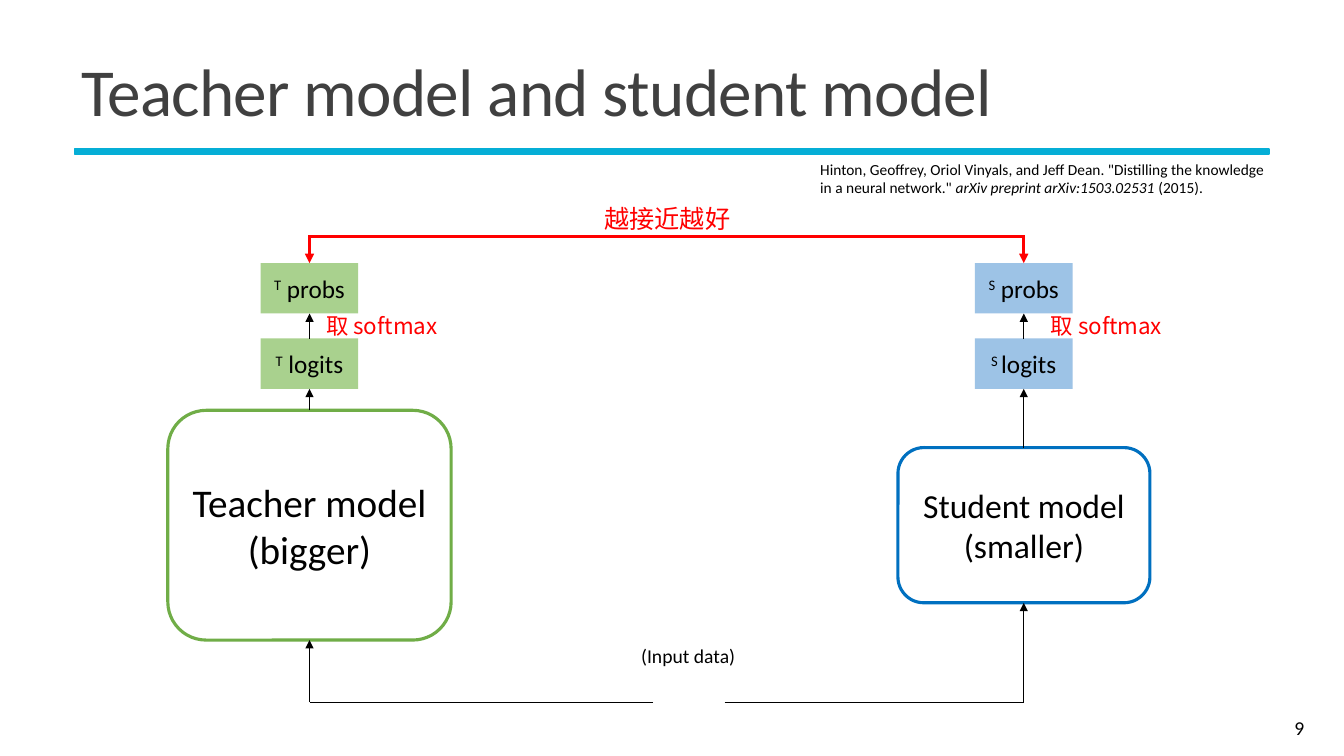
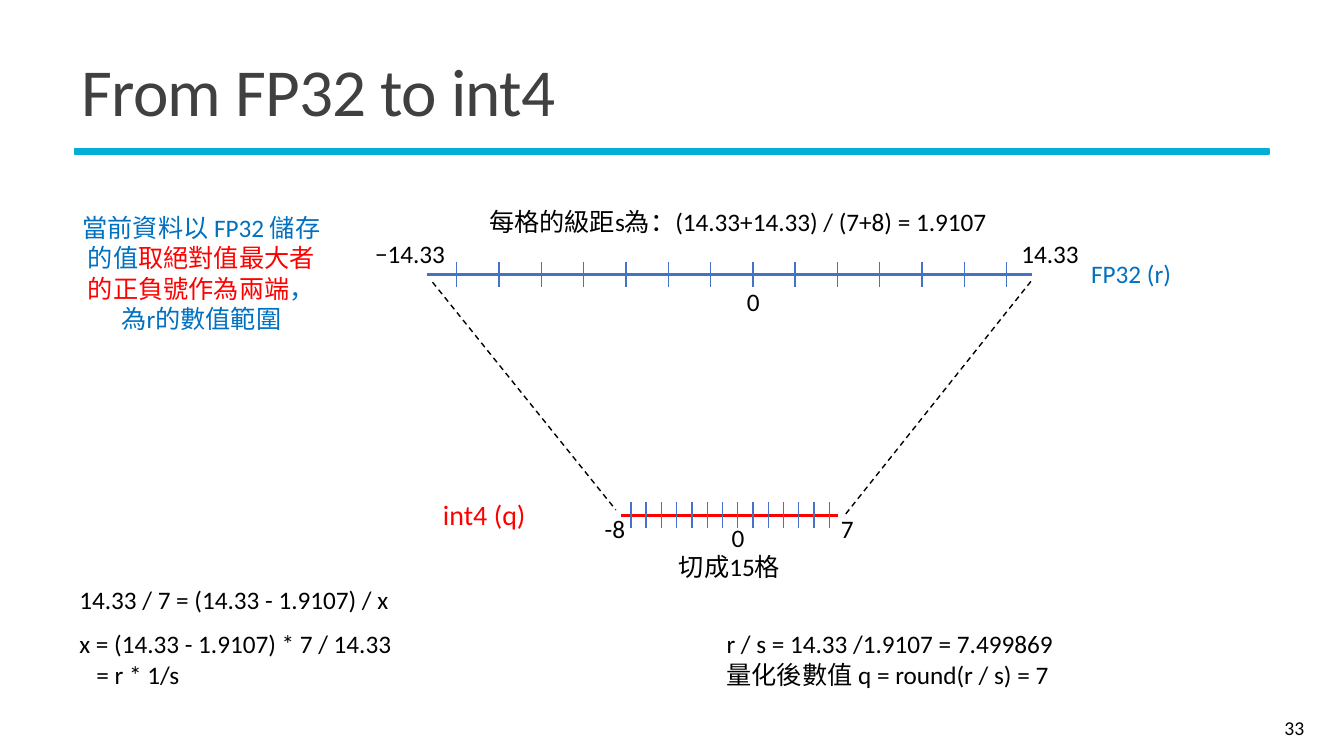
from dataclasses import dataclass
from typing import NamedTuple, Optional

from lxml import etree
from pptx import Presentation
from pptx.dml.color import RGBColor
from pptx.enum.dml import MSO_LINE
from pptx.enum.shapes import MSO_CONNECTOR, MSO_SHAPE
from pptx.enum.text import MSO_ANCHOR, PP_ALIGN
from pptx.oxml.ns import qn
from pptx.shapes.autoshape import Shape
from pptx.shapes.connector import Connector
from pptx.slide import Slide
from pptx.util import Cm, Pt

LEFT, CENTER, RIGHT = PP_ALIGN.LEFT, PP_ALIGN.CENTER, PP_ALIGN.RIGHT
TOP, MIDDLE = MSO_ANCHOR.TOP, MSO_ANCHOR.MIDDLE
RECTANGLE, ROUNDED = MSO_SHAPE.RECTANGLE, MSO_SHAPE.ROUNDED_RECTANGLE
STRAIGHT, DASH = MSO_CONNECTOR.STRAIGHT, MSO_LINE.DASH

LATIN, CJK = "Calibri", "Noto Sans CJK TC"
BLACK, TITLE_GRAY, RULE_CYAN = "000000", "404040", "05AED6"
RED, BLUE, AXIS_BLUE = "FF0000", "0070C0", "4472C4"
GREEN, LIGHT_GREEN, LIGHT_BLUE = "70AD47", "A9D18E", "9DC3E6"

TICK_COUNT, TICK_REACH = 14, 0.32
NODE_WIDTH, NODE_HEIGHT = 2.46, 1.27
PROBS_TOP, LOGITS_TOP = 6.63, 8.53
INPUT_Y, CLOSENESS_Y = 17.7, 5.97


class Point(NamedTuple):
    x: float
    y: float


class Box(NamedTuple):
    left: float
    top: float
    width: float
    height: float = 1.02


class Span(NamedTuple):
    """A piece of a paragraph; unset fields follow the paragraph."""
    text: str
    color: Optional[str] = None
    font: Optional[str] = None
    italic: bool = False
    superscript: bool = False


@dataclass(frozen=True)
class TextStyle:
    size: float = 18
    color: str = BLACK
    font: str = LATIN
    align: PP_ALIGN = CENTER
    anchor: MSO_ANCHOR = TOP


@dataclass(frozen=True)
class Label:
    box: Box
    lines: tuple[tuple[Span, ...], ...]
    style: TextStyle = TextStyle()


@dataclass(frozen=True)
class Branch:
    """One model with its logits and probabilities stacked above it."""
    center: float
    model_box: Box
    model_lines: tuple[str, str]
    model_size: float
    outline: str
    node_fill: str
    logits: tuple[str, str]
    probs: tuple[str, str]
    softmax_left: float
    input_start: float


@dataclass(frozen=True)
class Axis:
    left: float
    right: float
    y: float
    color: str
    first_tick: float
    last_tick: float


BODY = TextStyle()
BODY_LEFT = TextStyle(align=LEFT)
NODE_STYLE = TextStyle(anchor=MIDDLE)
TITLE_STYLE = TextStyle(48, TITLE_GRAY, align=LEFT, anchor=MIDDLE)
NUMBER_STYLE = TextStyle(14, align=RIGHT, anchor=MIDDLE)
SOFTMAX_STYLE = TextStyle(16, RED, CJK)

BRANCHES = (
    Branch(7.8, Box(4.23, 10.34, 7.14, 5.79), ("Teacher model", "(bigger)"), 28,
           GREEN, LIGHT_GREEN, ("T", " logits"), ("T", " probs"), 7.34, 16.46),
    Branch(25.8, Box(22.63, 11.28, 6.35, 3.91), ("Student model", "(smaller)"), 24,
           BLUE, LIGHT_BLUE, ("S ", "logits"), ("S", " probs"), 25.6, 18.26),
)
AXES = (
    Axis(15.65, 21.13, 12.98, RED, 15.9, 20.9),
    Axis(10.77, 26.01, 6.91, AXIS_BLUE, 11.51, 25.37),
)
PROJECTIONS = (
    (Point(10.9, 7.11), Point(15.52, 12.85)),
    (Point(25.98, 7.09), Point(21.29, 12.98)),
)


def plain(*texts: str) -> tuple[tuple[Span, ...], ...]:
    """Make one single-span line of each text."""
    return tuple((Span(text),) for text in texts)


DISTILLATION_LABELS = (
    Label(Box(14.53, 5, 4.57), plain("越接近越好"), TextStyle(18, RED, CJK)),
    Label(Box(20.42, 3.91, 12.04, 1.19), ((
        Span("Hinton, Geoffrey, Oriol Vinyals, and Jeff Dean. "
             '"Distilling the knowledge in a neural network." '),
        Span("arXiv preprint arXiv:1503.02531", italic=True),
        Span(" (2015)."),
    ),), TextStyle(11, align=LEFT)),
    Label(Box(15.06, 16.1, 4.57, 0.86), plain("(Input data)"), TextStyle(14)),
)
QUANTIZATION_LABELS = (
    Label(Box(25.4, 5.89, 2.13), plain("14.33")),
    Label(Box(9.09, 5.89, 2.49), plain("−14.33")),
    Label(Box(1.8, 5.23, 6.55, 3.33), ((
        Span("當前資料以 FP32 儲存的值"),
        Span("取絕對值最大者的正負號作為兩端", RED),
        Span("，為r的數值範圍"),
    ),), TextStyle(color=BLUE)),
    Label(Box(10.54, 12.42, 3.33, 1.12), plain("int4 (q)"), TextStyle(20, RED)),
    Label(Box(14.43, 12.8, 2.13), plain("-8")),
    Label(Box(20.29, 12.8, 2.13), plain("7")),
    Label(Box(15.11, 13.77, 6.55), plain("切成15格")),
    Label(Box(11.79, 5.08, 13.61),
          plain("每格的級距s為：(14.33+14.33) / (7+8) = 1.9107")),
    Label(Box(18.06, 15.72, 9.02, 1.8), (
        (Span("r / s = 14.33 /1.9107 = 7.499869"),),
        (Span("量化後數值 ", font=CJK), Span("q = round(r / s) = 7")),
    ), BODY_LEFT),
    Label(Box(18.57, 7.09, 1.07), plain("0"), BODY_LEFT),
    Label(Box(18.19, 13.03, 1.07), plain("0"), BODY_LEFT),
    Label(Box(27.25, 6.38, 3.02), plain("FP32 (r)"), TextStyle(color=BLUE, align=LEFT)),
    Label(Box(1.75, 14.61, 9.02), plain("14.33 / 7 = (14.33 - 1.9107) / x"), BODY_LEFT),
)
DERIVATION = Label(Box(1.75, 15.72, 9.02, 1.8),
                   plain("x = (14.33 - 1.9107) * 7 / 14.33", "= r * 1/s"), BODY_LEFT)


def rgb(color: str) -> RGBColor:
    return RGBColor.from_string(color)


def write_text(shape: Shape, label: Label) -> None:
    frame, style = shape.text_frame, label.style
    frame.word_wrap = True
    frame.vertical_anchor = style.anchor
    for index, spans in enumerate(label.lines):
        paragraph = frame.paragraphs[0] if index == 0 else frame.add_paragraph()
        paragraph.alignment = style.align
        paragraph.font.size = Pt(style.size)
        paragraph.font.name = style.font
        paragraph.font.color.rgb = rgb(style.color)
        defaults = paragraph._p.pPr.find(qn("a:defRPr"))
        etree.SubElement(defaults, qn("a:ea"), typeface=CJK)
        for span in spans:
            run = paragraph.add_run()
            run.text = span.text
            if span.color:
                run.font.color.rgb = rgb(span.color)
            if span.font:
                run.font.name = span.font
            if span.italic:
                run.font.italic = True
            if span.superscript:
                run._r.get_or_add_rPr().set("baseline", "30000")


def add_label(slide: Slide, label: Label) -> Shape:
    text_box = slide.shapes.add_textbox(*map(Cm, label.box))
    write_text(text_box, label)
    return text_box


def add_block(slide: Slide, box: Box, kind: MSO_SHAPE, fill: Optional[str] = None,
              outline: Optional[str] = None, width: float = 2.25) -> Shape:
    block = slide.shapes.add_shape(kind, *map(Cm, box))
    block.shadow.inherit = False
    if fill:
        block.fill.solid()
        block.fill.fore_color.rgb = rgb(fill)
    else:
        block.fill.background()
    if outline:
        block.line.color.rgb = rgb(outline)
        block.line.width = Pt(width)
    else:
        block.line.fill.background()
    return block


def add_line(slide: Slide, start: Point, end: Point, color: str = BLACK,
             width: float = 1, arrow: bool = False) -> Connector:
    line = slide.shapes.add_connector(STRAIGHT, *map(Cm, (*start, *end)))
    line.line.color.rgb = rgb(color)
    line.line.width = Pt(width)
    if arrow:
        etree.SubElement(line.line._get_or_add_ln(), qn("a:tailEnd"), type="triangle")
    etree.SubElement(line._element.spPr, qn("a:effectLst"))
    return line


def add_base(deck: Presentation, title: str, number: int) -> Slide:
    """Add a slide with the shared rule, title and page number."""
    slide = deck.slides.add_slide(deck.slide_layouts[6])
    add_block(slide, Box(1.88, 3.76, 30.1, 0.13), RECTANGLE, RULE_CYAN, RULE_CYAN, 1.25)
    heading = add_label(slide, Label(Box(1.8, 0.99, 30.33, 2.87), plain(title), TITLE_STYLE))
    heading_line = heading.text_frame.paragraphs[0]
    heading_line.line_spacing = 0.85
    heading_line.runs[0]._r.get_or_add_rPr().set("spc", "-50")
    add_label(slide, Label(Box(29.49, 17.83, 3.63), plain(str(number)), NUMBER_STYLE))
    return slide


def draw_branch(slide: Slide, branch: Branch) -> None:
    model = add_block(slide, branch.model_box, ROUNDED, outline=branch.outline)
    write_text(model, Label(branch.model_box, plain(*branch.model_lines),
                            TextStyle(branch.model_size, anchor=MIDDLE)))
    for top, (mark, word) in ((LOGITS_TOP, branch.logits), (PROBS_TOP, branch.probs)):
        box = Box(branch.center - NODE_WIDTH / 2, top, NODE_WIDTH, NODE_HEIGHT)
        node = add_block(slide, box, RECTANGLE, branch.node_fill)
        spans = (Span(mark, superscript=True), Span(word))
        write_text(node, Label(box, (spans,), NODE_STYLE))

    model_bottom = branch.model_box.top + branch.model_box.height
    for start_y, end_y in ((INPUT_Y, model_bottom),
                           (branch.model_box.top, LOGITS_TOP + NODE_HEIGHT),
                           (LOGITS_TOP, PROBS_TOP + NODE_HEIGHT)):
        add_line(slide, Point(branch.center, start_y), Point(branch.center, end_y), arrow=True)
    add_line(slide, Point(branch.input_start, INPUT_Y), Point(branch.center, INPUT_Y))
    add_line(slide, Point(branch.center, CLOSENESS_Y), Point(branch.center, PROBS_TOP),
             RED, 2.25, arrow=True)
    add_label(slide, Label(Box(branch.softmax_left, 7.75, 4.57, 0.94),
                           plain("取 softmax"), SOFTMAX_STYLE))


def draw_axis(slide: Slide, axis: Axis) -> None:
    add_line(slide, Point(axis.left, axis.y), Point(axis.right, axis.y), axis.color, 2.25)
    step = (axis.last_tick - axis.first_tick) / (TICK_COUNT - 1)
    for index in range(TICK_COUNT):
        x = axis.first_tick + index * step
        add_line(slide, Point(x, axis.y - TICK_REACH), Point(x, axis.y + TICK_REACH), AXIS_BLUE)


def build_distillation(deck: Presentation) -> None:
    slide = add_base(deck, "Teacher model and student model", 9)
    for branch in BRANCHES:
        draw_branch(slide, branch)
    teacher, student = BRANCHES
    closeness = add_line(slide, Point(teacher.center, CLOSENESS_Y),
                         Point(student.center, CLOSENESS_Y), RED, 2.25)
    closeness.line._get_or_add_ln().set("cap", "sq")
    for label in DISTILLATION_LABELS:
        add_label(slide, label)


def build_quantization(deck: Presentation) -> None:
    slide = add_base(deck, "From FP32 to int4", 33)
    for axis in AXES:
        draw_axis(slide, axis)
    for start, end in PROJECTIONS:
        add_line(slide, start, end).line.dash_style = DASH
    for label in QUANTIZATION_LABELS:
        add_label(slide, label)
    derivation = add_label(slide, DERIVATION)
    derivation.text_frame.paragraphs[1]._p.pPr.set("marL", str(Cm(0.43)))


def main() -> None:
    deck = Presentation()
    deck.slide_width, deck.slide_height = Cm(33.87), Cm(19.05)
    build_distillation(deck)
    build_quantization(deck)
    deck.save("out.pptx")


if __name__ == "__main__":
    main()
